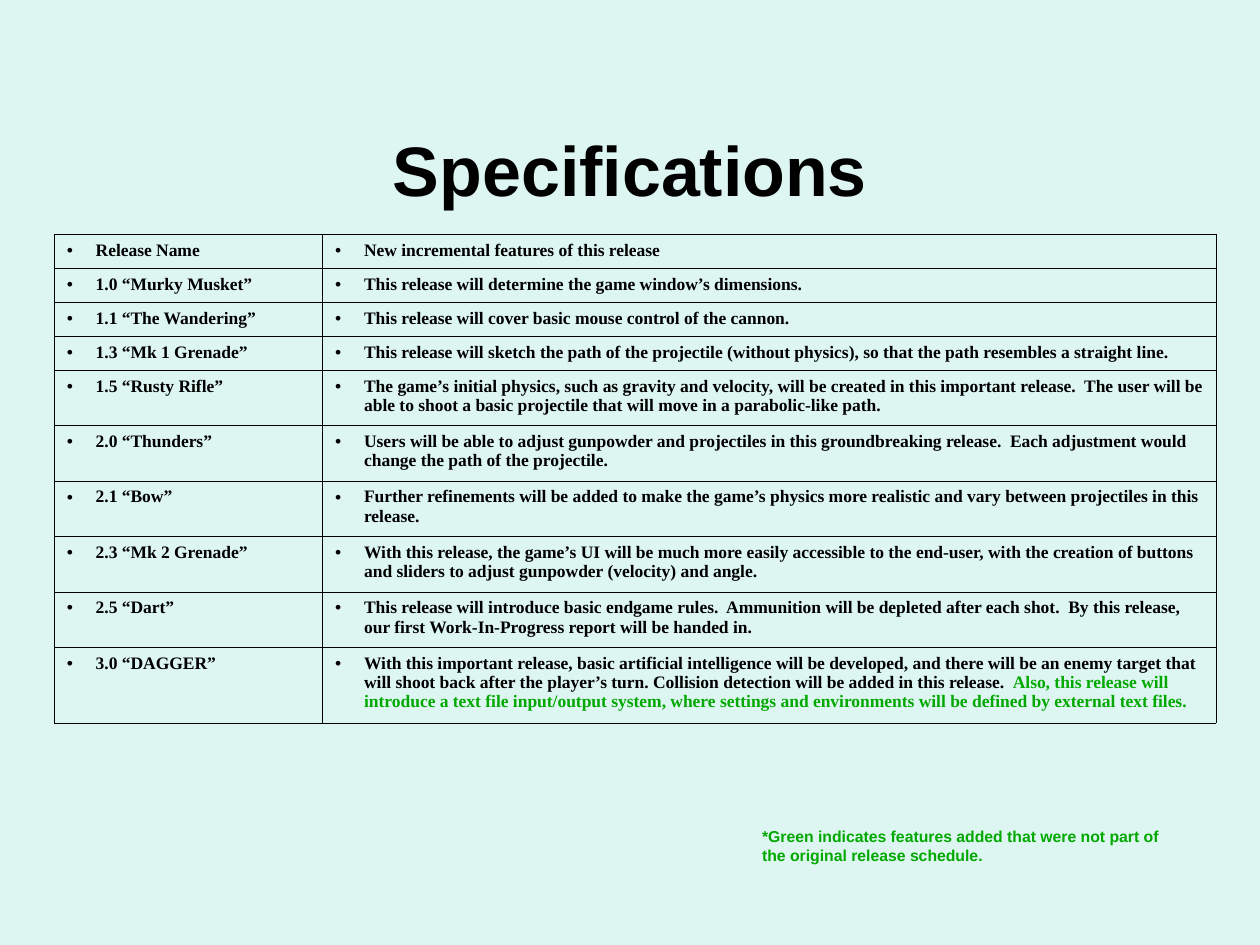
from lxml import etree
from pptx import Presentation
from pptx.dml.color import RGBColor
from pptx.enum.text import MSO_ANCHOR, PP_ALIGN
from pptx.oxml.ns import qn
from pptx.util import Inches, Pt

MIDDLE = MSO_ANCHOR.MIDDLE
CENTER = PP_ALIGN.CENTER

MINT = RGBColor(0xDE, 0xF6, 0xF1)
BLACK = RGBColor(0x00, 0x00, 0x00)
GREEN = RGBColor(0x00, 0xA8, 0x00)

HEADING_FONT = "Arial"
TABLE_FONT = "Times New Roman"
BULLET_INDENT = Inches(0.23)
COLUMN_WIDTHS = (2.13, 7.09)
ROW_HEIGHTS = [0.27] * 4 + [0.44] * 5 + [0.6]

# Each row: release name, features, and optionally features added later.
RELEASES = [
    ("Release Name", "New incremental features of this release"),
    ("1.0 “Murky Musket”",
     "This release will determine the game window’s dimensions."),
    ("1.1 “The Wandering”",
     "This release will cover basic mouse control of the cannon."),
    ("1.3 “Mk 1 Grenade”",
     "This release will sketch the path of the projectile (without physics), "
     "so that the path resembles a straight line."),
    ("1.5 “Rusty Rifle”",
     "The game’s initial physics, such as gravity and velocity, will be created "
     "in this important release.  The user will be able to shoot a basic "
     "projectile that will move in a parabolic-like path."),
    ("2.0 “Thunders”",
     "Users will be able to adjust gunpowder and projectiles in this "
     "groundbreaking release.  Each adjustment would change the path of the "
     "projectile."),
    ("2.1 “Bow”",
     "Further refinements will be added to make the game’s physics more "
     "realistic and vary between projectiles in this release."),
    ("2.3 “Mk 2 Grenade”",
     "With this release, the game’s UI will be much more easily accessible to "
     "the end-user, with the creation of buttons and sliders to adjust "
     "gunpowder (velocity) and angle."),
    ("2.5 “Dart”",
     "This release will introduce basic endgame rules.  Ammunition will be "
     "depleted after each shot.  By this release, our first Work-In-Progress "
     "report will be handed in."),
    ("3.0 “DAGGER”",
     "With this important release, basic artificial intelligence will be "
     "developed, and there will be an enemy target that will shoot back after "
     "the player’s turn. Collision detection will be added in this release.  ",
     "Also, this release will introduce a text file input/output system, where "
     "settings and environments will be defined by external text files."),
]


def add_run(p, text, size, font, color):
    r = p.add_run()
    r.text = text
    r.font.size = Pt(size)
    r.font.name = font
    r.font.bold = True
    r.font.color.rgb = color


def add_bullet(p):
    pPr = p._p.get_or_add_pPr()
    pPr.set("marL", str(BULLET_INDENT))
    pPr.set("indent", str(-BULLET_INDENT))
    etree.SubElement(pPr, qn("a:buFont")).set("typeface", HEADING_FONT)
    etree.SubElement(pPr, qn("a:buChar")).set("char", "•")


def add_borders(cell):
    tcPr = cell._tc.get_or_add_tcPr()
    for i, side in enumerate(("a:lnL", "a:lnR", "a:lnT", "a:lnB")):
        ln = etree.Element(qn(side), w=str(Pt(0.45)))
        fill = etree.SubElement(ln, qn("a:solidFill"))
        etree.SubElement(fill, qn("a:srgbClr")).set("val", str(BLACK))
        tcPr.insert(i, ln)


def fill_cell(cell, texts):
    """Write the first text in black and any later one in green."""
    cell.fill.background()
    add_borders(cell)
    p = cell.text_frame.paragraphs[0]
    add_bullet(p)
    for text, color in zip(texts, (BLACK, GREEN)):
        add_run(p, text, 10, TABLE_FONT, color)


def add_title(slide, left, top, width, height):
    tf = slide.shapes.add_textbox(left, top, width, height).text_frame
    tf.word_wrap = True
    tf.vertical_anchor = MIDDLE
    p = tf.paragraphs[0]
    p.alignment = CENTER
    add_run(p, "Specifications", 40, HEADING_FONT, BLACK)


def add_release_table(slide, left, top, width, height):
    table = slide.shapes.add_table(
        len(RELEASES), len(COLUMN_WIDTHS), left, top, width, height).table
    table.first_row = False
    table.horz_banding = False
    for column, column_width in zip(table.columns, COLUMN_WIDTHS):
        column.width = Inches(column_width)
    for row, row_height, (name, *features) in zip(table.rows, ROW_HEIGHTS, RELEASES):
        row.height = Inches(row_height)
        fill_cell(row.cells[0], [name])
        fill_cell(row.cells[1], features)


def add_note(slide, left, top, width, height):
    tf = slide.shapes.add_textbox(left, top, width, height).text_frame
    tf.word_wrap = False
    p = tf.paragraphs[0]
    add_run(p, "*Green indicates features added that were not part of ",
            9, HEADING_FONT, GREEN)
    p.add_line_break()
    add_run(p, "the original release schedule.", 9, HEADING_FONT, GREEN)


def main():
    prs = Presentation()
    prs.slide_width = Inches(10)
    prs.slide_height = Inches(7.5)
    slide = prs.slides.add_slide(prs.slide_layouts[6])
    slide.background.fill.solid()
    slide.background.fill.fore_color.rgb = MINT
    add_title(slide, Inches(0.75), Inches(0.71), Inches(8.5), Inches(1.25))
    add_release_table(slide, Inches(0.43), Inches(1.86), Inches(9.22), Inches(3.84))
    add_note(slide, Inches(5.95), Inches(6.51), Inches(3.38), Inches(0.4))
    prs.save("out.pptx")


if __name__ == "__main__":
    main()
